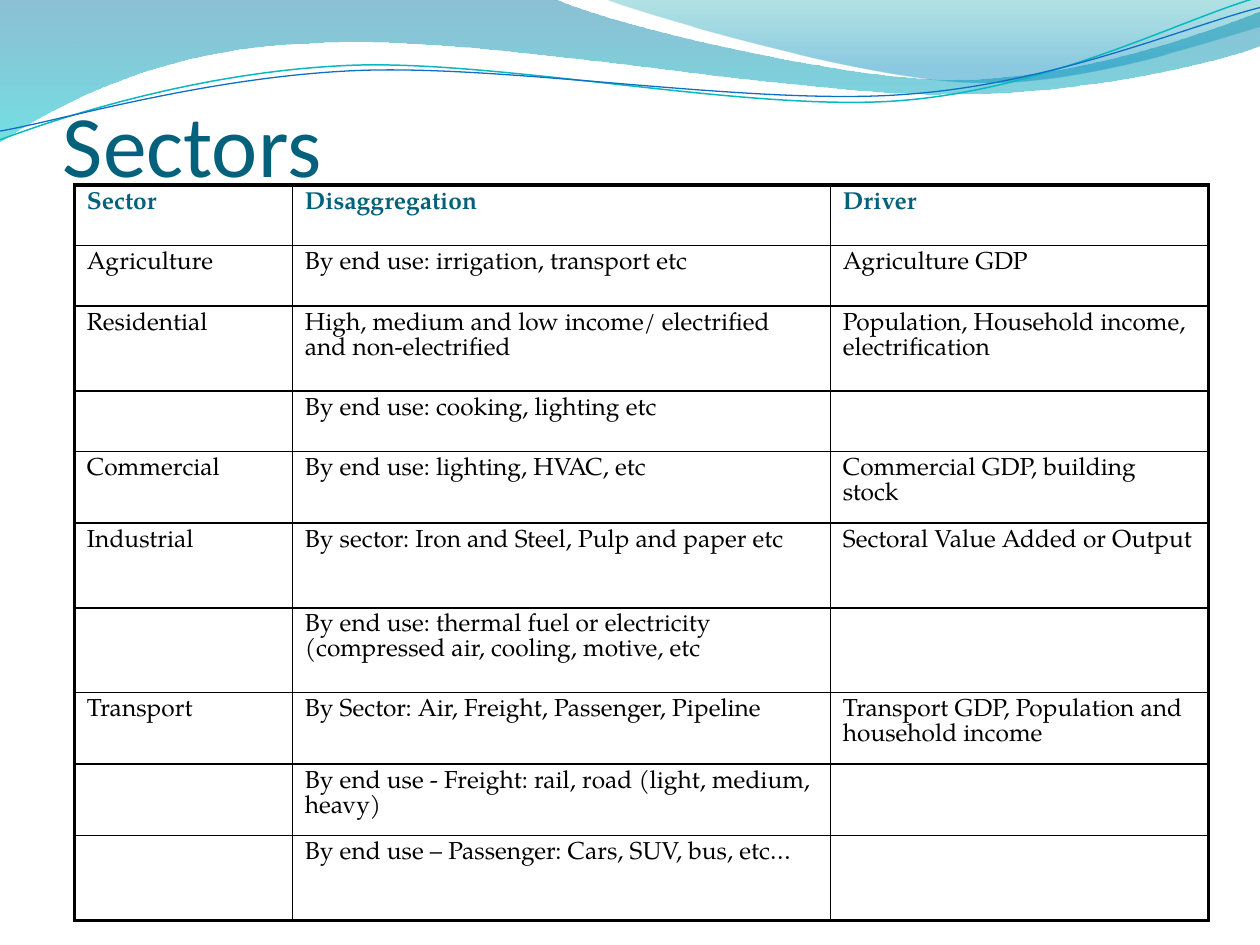
from lxml.etree import SubElement
from pptx import Presentation
from pptx.dml.color import RGBColor as Rgb
from pptx.enum.text import MSO_ANCHOR as Anchor
from pptx.oxml.ns import qn
from pptx.util import Pt

BLACK, TEAL = "000000", "04617B"


def color(hex_text):
    return Rgb.from_string(hex_text)


def draw_wave(shapes, start, segments, closed):
    """Draw segments of 2 numbers as straight lines, of 6 as cubic curves."""
    builder = shapes.build_freeform(Pt(start[0]), Pt(start[1]))
    ends = [(Pt(segment[-2]), Pt(segment[-1])) for segment in segments]
    builder.add_line_segments(ends, close=closed)
    wave = builder.convert_to_shape()
    wave.shadow.inherit = False
    for element, segment in zip(list(wave._element.iter(qn("a:lnTo"))), segments):
        if len(segment) == 6:
            element.tag = qn("a:cubicBezTo")
            for index in (0, 1):
                x, y = segment[2 * index:2 * index + 2]
                control = SubElement(element, qn("a:pt"), x=str(Pt(x) - wave.left),
                                     y=str(Pt(y) - wave.top))
                element.insert(index, control)
    return wave


deck = Presentation()
deck.slide_width, deck.slide_height = Pt(720), Pt(540)
page = deck.slides.add_slide(deck.slide_layouts[6])

# Translucent bands: start, segments, gradient stops (position, colour, opacity)
bands = [
    ((0, 0),
     [(316.8, -0.7), (342.7, 12.2, 478.1, 45.4, 545.8, 45.4),
      (614.2, 45.4, 689.8, 18.7, 720, 6.5), (720.7, 25.9),
      (707.8, 31.7, 626.4, 54.7, 537.1, 54),
      (447.8, 54, 275, 20.2, 185, 24.5), (92.9, 25.9, 33.1, 59.8, -0.7, 81.4),
      (0, 0)],
     [(0, "0074A1", 45), (1, "00C6CF", 55)]),
    ((344.9, -0.7),
     [(366.5, 7.9, 491, 44.6, 553.7, 46.8), (616.3, 49.7, 691.9, 23, 720, 15.1),
      (720, 0), (344.9, -0.7)],
     [(0, "00A1A9", 30), (0.8, "008BBF", 45)]),
]
for start, segments, stops in bands:
    band = draw_wave(page.shapes, start, segments, True)
    band.line.fill.background()
    band.fill.gradient()
    band.fill.gradient_angle = 270
    for stop, (position, hex_text, _) in zip(band.fill.gradient_stops, stops):
        stop.position = position
        stop.color.rgb = color(hex_text)
    colors = band._element.spPr.iter(qn("a:srgbClr"))
    for element, (_, _, opacity) in zip(colors, stops):
        SubElement(element, qn("a:alpha"), val=str(opacity * 1000))

# Thin wave lines: start, segments, colour, width
wave_lines = [
    ((0, 79.9),
     [(34.6, 67, 113.8, 41, 199.4, 37.4), (284.4, 33.8, 427, 64.1, 513.4, 57.6),
      (599.8, 51.1, 675.4, 10.8, 718.6, -1.4)], "0AB8BF", 0.85),
    ((0, 74.9),
     [(33.8, 69.1, 118.1, 43.9, 203.8, 40.3), (290.2, 36.7, 429.8, 60.5, 516.2, 54),
      (601.9, 48.2, 677.5, 15.1, 720, 4.3)], "0F6FC6", 0.75),
]
for start, segments, hex_text, width in wave_lines:
    wave_line = draw_wave(page.shapes, start, segments, False)
    wave_line.fill.background()
    wave_line.line.color.rgb = color(hex_text)
    wave_line.line.width = Pt(width)

title = page.shapes.add_textbox(Pt(36), Pt(21.6), Pt(648), Pt(90))
frame = title.text_frame
frame.word_wrap = True
frame.vertical_anchor = Anchor.BOTTOM
frame.margin_left = frame.margin_right = frame.margin_bottom = 0
frame.text = "Sectors"
font = frame.paragraphs[0].runs[0].font
font.name, font.size, font.color.rgb = "Calibri", Pt(50), color(TEAL)

LOW, TWO_LINES, MIDDLE, HIGH = 34.6, 35.4, 40.9, 48.5
rows = [
    (LOW, "Sector", "Disaggregation", "Driver"),
    (LOW, "Agriculture", "By end use: irrigation, transport etc", "Agriculture GDP"),
    (HIGH, "Residential", "High, medium and low income/ electrified and non-electrified",
     "Population, Household income, electrification"),
    (LOW, "", "By end use: cooking, lighting etc", ""),
    (TWO_LINES, "Commercial", "By end use: lighting, HVAC, etc",
     "Commercial GDP, building stock"),
    (HIGH, "Industrial", "By sector: Iron and Steel, Pulp and paper etc",
     "Sectoral Value Added or Output"),
    (HIGH, "", "By end use: thermal fuel or electricity "
     "(compressed air, cooling, motive, etc", ""),
    (MIDDLE, "Transport", "By Sector: Air, Freight, Passenger, Pipeline",
     "Transport GDP, Population and household income"),
    (MIDDLE, "", "By end use - Freight: rail, road (light, medium, heavy)", ""),
    (HIGH, "", "By end use – Passenger: Cars, SUV, bus, etc…", ""),
]
widths = [124.6, 307.4, 216]
last_row, last_column = len(rows) - 1, len(widths) - 1
table = page.shapes.add_table(len(rows), len(widths), Pt(42.5), Pt(105.8),
                              Pt(sum(widths)), Pt(sum(row[0] for row in rows))).table
table.first_row = table.horz_banding = False
for column, width in zip(table.columns, widths):
    column.width = Pt(width)

for row_index, (height, *texts) in enumerate(rows):
    table.rows[row_index].height = Pt(height)
    for column_index, text in enumerate(texts):
        cell = table.cell(row_index, column_index)
        outer_edges = {"a:lnL": column_index == 0, "a:lnR": column_index == last_column,
                       "a:lnT": row_index == 0, "a:lnB": row_index == last_row}
        properties = cell._tc.get_or_add_tcPr()
        for tag, is_outer in outer_edges.items():
            border = SubElement(properties, qn(tag), w=str(Pt(2.25 if is_outer else 1)))
            fill = SubElement(border, qn("a:solidFill"))
            SubElement(fill, qn("a:srgbClr"), val=BLACK)
        cell.fill.background()
        if not text:
            continue
        cell.text_frame.text = text
        font = cell.text_frame.paragraphs[0].runs[0].font
        font.name, font.size = "TeX Gyre Pagella", Pt(14)
        font.bold = row_index == 0
        font.color.rgb = color(TEAL if row_index == 0 else BLACK)

deck.save("out.pptx")
